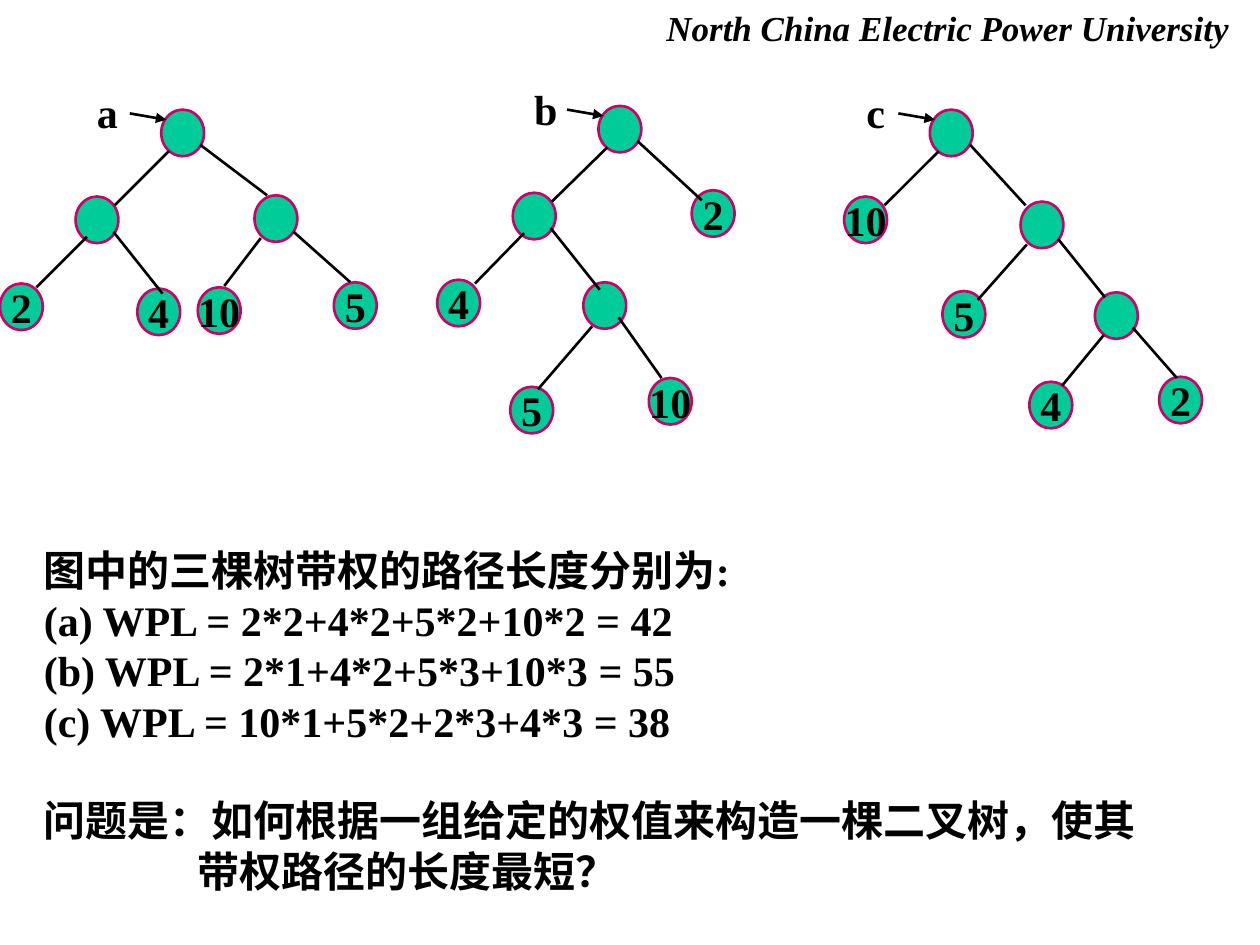
from dataclasses import dataclass

from lxml.etree import SubElement
from pptx import Presentation
from pptx.dml.color import RGBColor
from pptx.enum.shapes import MSO_CONNECTOR, MSO_SHAPE
from pptx.enum.text import MSO_ANCHOR, PP_ALIGN
from pptx.oxml.ns import qn
from pptx.util import Inches, Pt


@dataclass(frozen=True)
class Theme:
    font: str = "Times New Roman"
    ink: RGBColor = RGBColor(0x00, 0x00, 0x00)
    node_fill: RGBColor = RGBColor(0x00, 0xCC, 0x99)
    node_line: RGBColor = RGBColor(0xCC, 0x00, 0x66)
    body_size: Pt = Pt(24)
    header_size: Pt = Pt(20)
    line_width: Pt = Pt(1.5)
    node_width: float = 0.34
    node_height: float = 0.37


TREES = [
    {
        "label": "a",
        "nodes": [(1.28, 0.87, ""), (0.6, 1.56, ""), (2.02, 1.55, ""),
                  (0, 2.25, "2"), (1.09, 2.29, "4"), (1.57, 2.28, "10"), (2.65, 2.24, "5")],
        "edges": [(1.34, 1.2, 0.91, 1.63), (1.59, 1.15, 2.12, 1.55),
                  (0.69, 1.88, 0.29, 2.28), (0.9, 1.84, 1.29, 2.33),
                  (2.07, 1.89, 1.78, 2.27), (2.33, 1.84, 2.78, 2.24)],
    },
    {
        "label": "b",
        "nodes": [(4.75, 0.84, ""), (4.07, 1.53, ""), (5.49, 1.51, "2"),
                  (3.47, 2.22, "4"), (4.63, 2.24, ""), (4.05, 3.07, "5"), (5.15, 3, "10")],
        "edges": [(4.82, 1.17, 4.38, 1.6), (5.06, 1.12, 5.57, 1.59),
                  (4.16, 1.85, 3.77, 2.25), (4.37, 1.81, 4.76, 2.3),
                  (4.7, 2.59, 4.27, 3.09), (4.91, 2.52, 5.25, 3)],
    },
    {
        "label": "c",
        "nodes": [(7.38, 0.87, ""), (6.7, 1.56, "10"), (8.1, 1.6, ""),
                  (7.48, 2.31, "5"), (8.69, 2.32, ""), (8.17, 3.03, "4"), (9.2, 2.99, "2")],
        "edges": [(7.45, 1.2, 7.02, 1.63), (7.7, 1.15, 8.14, 1.63),
                  (8.15, 1.94, 7.76, 2.38), (8.4, 1.9, 8.77, 2.36),
                  (8.76, 2.66, 8.43, 3.06), (8.99, 2.6, 9.34, 3)],
    },
]

EXPLANATION = [
    ("图中的三棵树带权的路径长度分别为:", {}),
    ("(a) WPL = 2*2+4*2+5*2+10*2 = 42", {}),
    ("(b) WPL = 2*1+4*2+5*3+10*3 = 55", {}),
    ("(c) WPL = 10*1+5*2+2*3+4*3 = 38", {}),
    ("问题是：如何根据一组给定的权值来构造一棵二叉树，使其", {"space_before": Pt(28)}),
    ("带权路径的长度最短？", {"indent": Inches(1.22)}),
]


class TreeSlide:
    def __init__(self, slide, theme):
        self.slide = slide
        self.theme = theme

    def fill_paragraph(self, paragraph, text, alignment=PP_ALIGN.LEFT,
                       space_before=Pt(0), indent=0, **changes):
        paragraph.text = text
        paragraph.alignment = alignment
        paragraph.space_before = space_before
        if indent:
            paragraph._p.get_or_add_pPr().set("marL", str(indent))
        values = {"name": self.theme.font, "size": self.theme.body_size, "bold": True, **changes}
        for name, value in values.items():
            setattr(paragraph.font, name, value)
        paragraph.font.color.rgb = self.theme.ink

    def text(self, shapes, box, lines, wrap=False):
        frame = shapes.add_textbox(*map(Inches, box)).text_frame
        frame.word_wrap = wrap
        for index, (text, values) in enumerate(lines):
            paragraph = frame.add_paragraph() if index else frame.paragraphs[0]
            self.fill_paragraph(paragraph, text, **values)

    def node(self, shapes, left, top, weight):
        size = (self.theme.node_width, self.theme.node_height)
        shape = shapes.add_shape(MSO_SHAPE.OVAL, *map(Inches, (left, top, *size)))
        shape.shadow.inherit = False
        shape.fill.solid()
        shape.fill.fore_color.rgb = self.theme.node_fill
        shape.line.color.rgb = self.theme.node_line
        shape.line.width = self.theme.line_width
        if weight:
            frame = shape.text_frame
            frame.word_wrap = False
            frame.vertical_anchor = MSO_ANCHOR.MIDDLE
            self.fill_paragraph(frame.paragraphs[0], weight, PP_ALIGN.CENTER)

    def edge(self, shapes, ends, arrow=False):
        connector = shapes.add_connector(MSO_CONNECTOR.STRAIGHT, *map(Inches, ends))
        connector.line.color.rgb = self.theme.ink
        connector.line.width = self.theme.line_width
        properties = connector._element.spPr
        if arrow:
            SubElement(properties.find(qn("a:ln")), qn("a:tailEnd"), type="triangle")
        SubElement(properties, qn("a:effectLst"))

    def tree(self, label, nodes, edges):
        shapes = self.slide.shapes.add_group_shape().shapes
        for node in nodes:
            self.node(shapes, *node)
        for ends in edges:
            self.edge(shapes, ends)
        left, top, _ = nodes[0]
        self.edge(shapes, (left - 0.25, top + 0.03, left + 0.04, top + 0.08), arrow=True)
        self.text(shapes, (left - 0.61, top - 0.23, 0.36, 0.5),
                  [(label, {"alignment": PP_ALIGN.CENTER})])


def main():
    presentation = Presentation()
    presentation.slide_width = Inches(10)
    presentation.slide_height = Inches(7.5)
    slide = presentation.slides.add_slide(presentation.slide_layouts[6])
    theme = Theme()
    page = TreeSlide(slide, theme)
    for tree in TREES:
        page.tree(**tree)
    page.text(slide.shapes, (0.25, 4.27, 9.22, 2.9), EXPLANATION, wrap=True)
    page.text(slide.shapes, (5.19, 0, 4.67, 0.44),
              [("North China Electric Power University", {"size": theme.header_size, "italic": True})])
    presentation.save("out.pptx")


if __name__ == "__main__":
    main()
